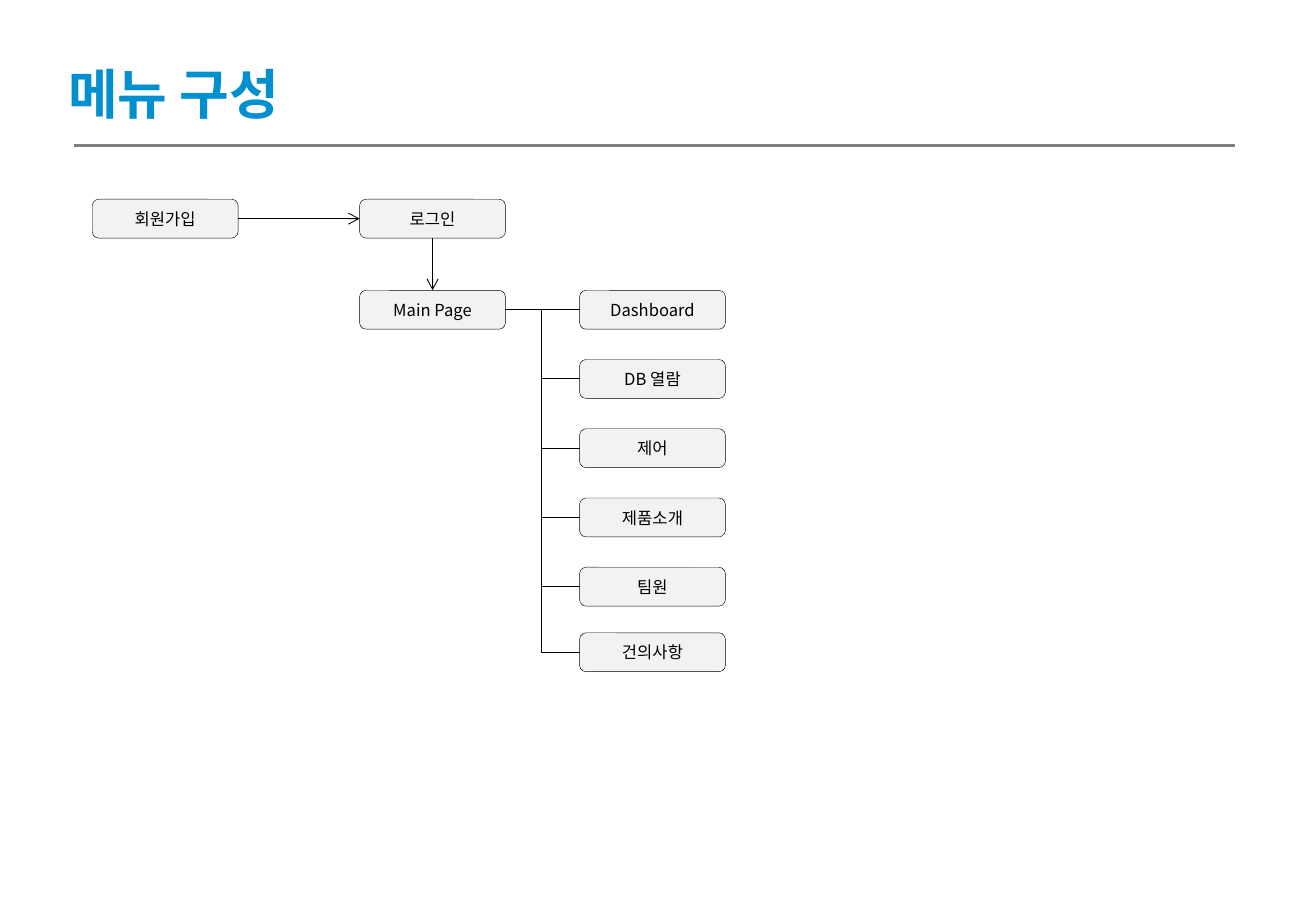
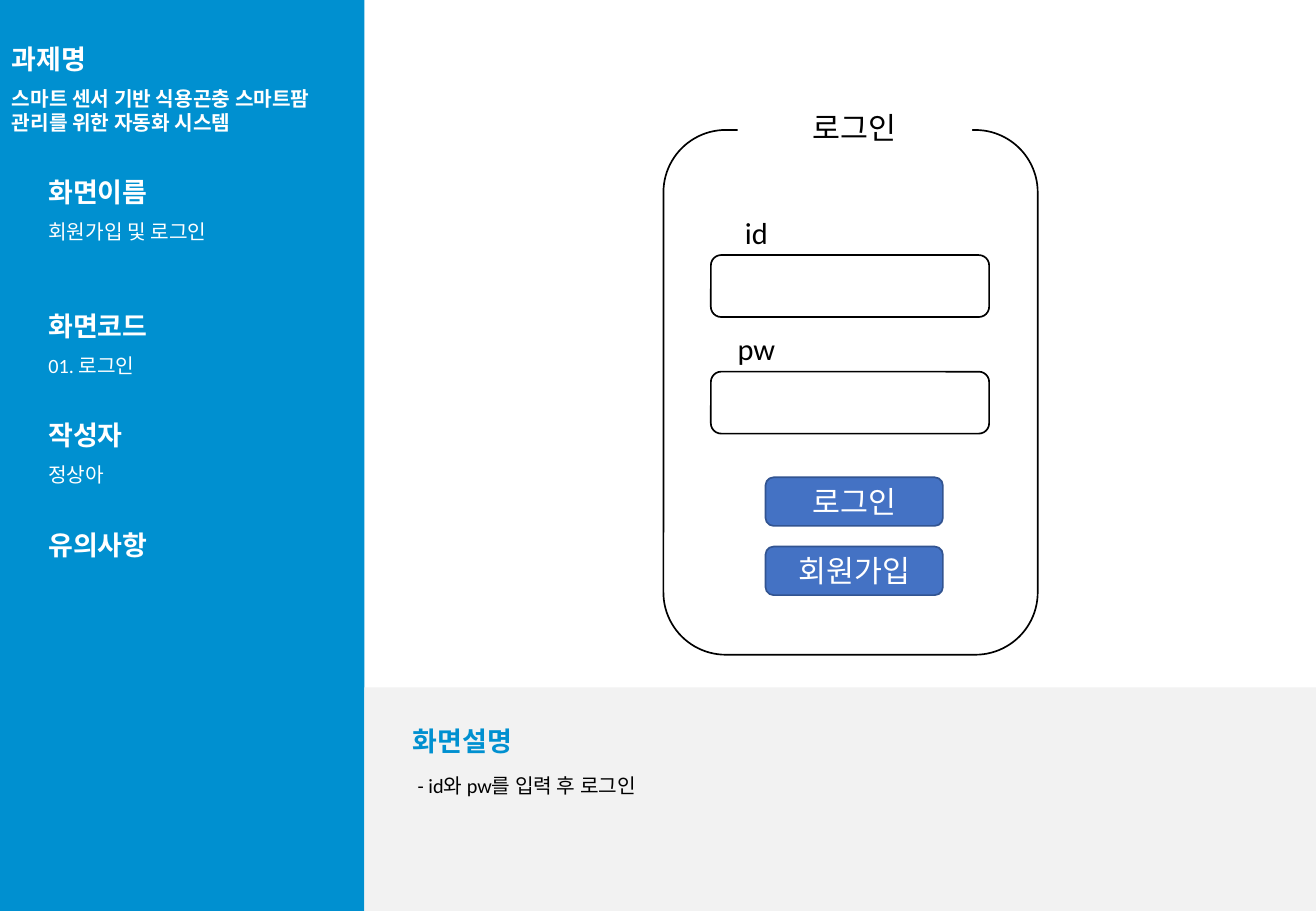
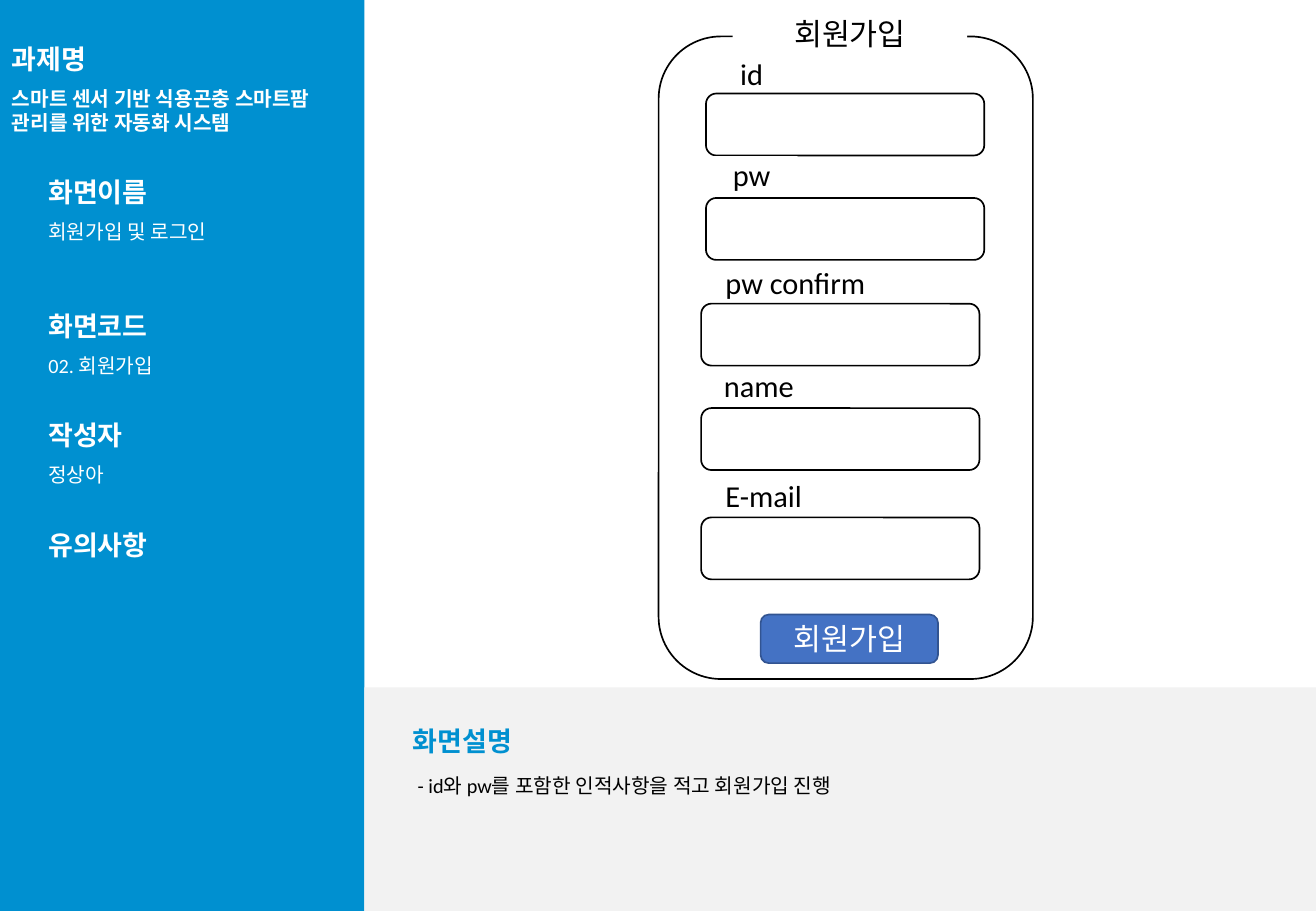
from dataclasses import dataclass
from typing import Optional

from lxml import etree
from pptx import Presentation
from pptx.dml.color import RGBColor
from pptx.enum import shapes, text
from pptx.oxml import ns
from pptx.util import Inches, Pt


@dataclass(frozen=True)
class Theme:
    blue: str = "0090D0"
    gray: str = "F2F2F2"
    rule: str = "808080"
    white: str = "FFFFFF"
    black: str = "000000"
    button: str = "4472C4"
    button_edge: str = "325491"
    latin: str = "Calibri"
    korean: str = "Noto Sans CJK KR"
    title: float = 32
    mockup: float = 18
    heading: float = 16
    body: float = 12
    node: float = 9.8


@dataclass(frozen=True)
class Box:
    left: float
    top: float
    width: float
    height: float


@dataclass(frozen=True)
class Style:
    size: float
    color: str
    bold: bool = False
    font: str = "Calibri"
    align: text.PP_ALIGN = text.PP_ALIGN.LEFT
    anchor: text.MSO_ANCHOR = text.MSO_ANCHOR.TOP


@dataclass(frozen=True)
class Field:
    label: str
    left: float
    label_top: float
    input_top: float
    label_width: float = 0.75


@dataclass(frozen=True)
class Button:
    label: str
    left: float
    top: float


@dataclass(frozen=True)
class Screen:
    name: str
    code: str
    description: str
    description_width: float
    name_box: Box
    panel: Box
    fields: tuple[Field, ...]
    buttons: tuple[Button, ...]


THEME = Theme()
CENTERED = {"align": text.PP_ALIGN.CENTER, "anchor": text.MSO_ANCHOR.MIDDLE}
TITLE = Style(THEME.title, THEME.blue, bold=True)
SIDE_HEADING = Style(THEME.heading, THEME.white, bold=True)
SIDE_BODY = Style(THEME.body, THEME.white)
PROJECT_NAME = Style(THEME.body, THEME.white, bold=True, font=THEME.korean)
NOTE_HEADING = Style(THEME.heading, THEME.blue, bold=True)
NOTE_BODY = Style(THEME.body, THEME.black)
NODE = Style(THEME.node, THEME.black, font=THEME.korean, **CENTERED)
MOCKUP = Style(THEME.mockup, THEME.black, **CENTERED)
BUTTON = Style(THEME.mockup, THEME.white, **CENTERED)

NODE_WIDTH, NODE_HEIGHT = 1.2, 0.32
MENU_LEFT, TRUNK_X = 4.77, 4.46
MENU = (
    ("Dashboard", 2.39),
    ("DB 열람", 2.96),
    ("제어", 3.53),
    ("제품소개", 4.1),
    ("팀원", 4.67),
    ("건의사항", 5.21),
)

SCREENS = (
    Screen(
        "로그인", "01. 로그인", " - id와 pw를 입력 후 로그인", 2.7,
        Box(6.07, 0.79, 1.93, 0.51), Box(5.46, 1.07, 3.08, 4.32),
        (Field("id", 5.85, 1.77, 2.1), Field("pw", 5.85, 2.72, 3.06)),
        (Button("로그인", 6.3, 3.93), Button("회원가입", 6.3, 4.5)),
    ),
    Screen(
        "회원가입", "02. 회원가입",
        " - id와 pw를 포함한 인적사항을 적고 회원가입 진행", 5.88,
        Box(6.03, 0.02, 1.93, 0.51), Box(5.42, 0.3, 3.08, 5.29),
        (
            Field("id", 5.81, 0.46, 0.77),
            Field("pw", 5.81, 1.29, 1.63),
            Field("pw confirm", 5.77, 2.18, 2.5, 1.55),
            Field("name", 5.77, 3.03, 3.36, 0.95),
            Field("E-mail", 5.77, 3.93, 4.26, 1.03),
        ),
        (Button("회원가입", 6.26, 5.06),),
    ),
)


def rgb(color: str) -> RGBColor:
    return RGBColor.from_string(color)


def lengths(box: Box) -> tuple:
    return tuple(Inches(v) for v in (box.left, box.top, box.width, box.height))


def write(shape, words: str, style: Style) -> None:
    frame = shape.text_frame
    frame.word_wrap = True
    frame.auto_size = text.MSO_AUTO_SIZE.NONE
    frame.vertical_anchor = style.anchor
    paragraph = frame.paragraphs[0]
    paragraph.alignment = style.align
    run = paragraph.add_run()
    run.text = words
    run.font.size = Pt(style.size)
    run.font.bold = style.bold
    run.font.name = style.font
    run.font.color.rgb = rgb(style.color)
    east_asian = etree.Element(ns.qn("a:ea"), typeface=THEME.korean)
    run.font._element.find(ns.qn("a:latin")).addnext(east_asian)


def add_text(slide, box: Box, words: str, style: Style) -> None:
    write(slide.shapes.add_textbox(*lengths(box)), words, style)


def add_block(slide, box: Box, fill: str, edge: Optional[str] = None,
              edge_width: float = 1, rounded: bool = False,
              words: str = "", style: Style = MOCKUP):
    preset = shapes.MSO_SHAPE.ROUNDED_RECTANGLE if rounded else shapes.MSO_SHAPE.RECTANGLE
    block = slide.shapes.add_shape(preset, *lengths(box))
    block.shadow.inherit = False
    block.fill.solid()
    block.fill.fore_color.rgb = rgb(fill)
    if edge:
        block.line.color.rgb = rgb(edge)
        block.line.width = Pt(edge_width)
    else:
        block.line.fill.background()
    if words:
        write(block, words, style)
    return block


def add_line(slide, start: tuple[float, float], end: tuple[float, float],
             color: str = THEME.black, width: float = 0.5):
    line = slide.shapes.add_connector(
        shapes.MSO_CONNECTOR.STRAIGHT, *(Inches(v) for v in (*start, *end)))
    line.line.color.rgb = rgb(color)
    line.line.width = Pt(width)
    etree.SubElement(line._element.spPr, ns.qn("a:effectLst"))
    return line


def join(slide, source, source_side: int, target, target_side: int,
         arrow: bool = False) -> None:
    link = add_line(slide, (0, 0), (1, 1))
    link.begin_connect(source, source_side)
    link.end_connect(target, target_side)
    if arrow:
        etree.SubElement(link.line._get_or_add_ln(), ns.qn("a:tailEnd"), type="arrow")


def add_branch(slide, start: tuple[float, float], end: tuple[float, float]) -> None:
    branch = add_line(slide, start, end)
    branch._element.spPr.find(ns.qn("a:prstGeom")).set("prst", "bentConnector2")


def place(slide, placeholder, box: Box, words: str, style: Style) -> None:
    placeholder.left, placeholder.top, placeholder.width, placeholder.height = lengths(box)
    write(placeholder, words, style)
    slide.shapes._spTree.append(placeholder._element)


def add_node(slide, left: float, top: float, words: str):
    return add_block(slide, Box(left, top, NODE_WIDTH, NODE_HEIGHT), THEME.gray,
                     THEME.black, 0.25, True, words, NODE)


def build_menu(deck) -> None:
    slide = deck.slides.add_slide(deck.slide_layouts[5])
    place(slide, slide.shapes.title, Box(0.46, 0.45, 2.1, 0.64), "메뉴 구성", TITLE)
    add_line(slide, (0.61, 1.2), (10.16, 1.2), THEME.rule, 1.5)

    sign_up = add_node(slide, 0.76, 1.64, "회원가입")
    log_in = add_node(slide, 2.96, 1.64, "로그인")
    main_page = add_node(slide, 2.96, MENU[0][1], "Main Page")
    dashboard, *_ = [add_node(slide, MENU_LEFT, top, name) for name, top in MENU]

    join(slide, sign_up, 3, log_in, 1, arrow=True)
    join(slide, log_in, 2, main_page, 0, arrow=True)
    join(slide, main_page, 3, dashboard, 1)
    trunk_top = MENU[0][1] + NODE_HEIGHT / 2
    for _, top in MENU[1:]:
        add_branch(slide, (MENU_LEFT, top + NODE_HEIGHT / 2), (TRUNK_X, trunk_top))


def add_sidebar(slide, code: str) -> None:
    add_block(slide, Box(0, 0, 3, 7.5), THEME.blue)
    add_text(slide, Box(0, 0.3, 1.07, 0.37), "과제명", SIDE_HEADING)
    add_text(slide, Box(0, 0.66, 2.91, 0.71),
             "스마트 센서 기반 식용곤충 스마트팜 관리를 위한 자동화 시스템", PROJECT_NAME)
    sections = (
        ("화면이름", "회원가입 및 로그인", 1.4),
        ("화면코드", code, 2.5),
        ("작성자", "정상아", 3.4),
        ("유의사항", "", 4.3),
    )
    for heading, detail, top in sections:
        add_text(slide, Box(0.3, top, 1.1, 0.37), heading, SIDE_HEADING)
        if detail:
            add_text(slide, Box(0.3, top + 0.36, 2.37, 0.3), detail, SIDE_BODY)


def add_description(slide, words: str, width: float) -> None:
    add_block(slide, Box(3, 5.66, 7.83, 1.84), THEME.gray)
    add_text(slide, Box(3.3, 5.92, 1.1, 0.37), "화면설명", NOTE_HEADING)
    body = slide.placeholders[1]
    place(slide, body, Box(3.3, 6.32, width, 0.3), words, NOTE_BODY)
    paragraph = body.text_frame.paragraphs[0]
    paragraph.space_before = Pt(0)
    properties = paragraph._p.get_or_add_pPr()
    properties.set("marL", "0")
    properties.set("indent", "0")
    etree.SubElement(properties, ns.qn("a:buNone"))


def add_field(slide, field: Field) -> None:
    add_block(slide, Box(field.left, field.input_top, 2.29, 0.51),
              THEME.white, THEME.black, rounded=True)
    add_block(slide, Box(field.left, field.label_top, field.label_width, 0.29),
              THEME.white, THEME.white, words=field.label)


def build_screen(deck, screen: Screen) -> None:
    slide = deck.slides.add_slide(deck.slide_layouts[1])
    add_sidebar(slide, screen.code)
    add_description(slide, screen.description, screen.description_width)
    add_block(slide, screen.panel, THEME.white, THEME.black, rounded=True)
    for field in screen.fields:
        add_field(slide, field)
    for button in screen.buttons:
        add_block(slide, Box(button.left, button.top, 1.46, 0.4), THEME.button,
                  THEME.button_edge, rounded=True, words=button.label, style=BUTTON)
    name = slide.shapes.title
    place(slide, name, screen.name_box, screen.name, MOCKUP)
    name.fill.solid()
    name.fill.fore_color.rgb = rgb(THEME.white)


def main() -> None:
    deck = Presentation()
    deck.slide_width, deck.slide_height = Inches(10.83), Inches(7.5)
    build_menu(deck)
    for screen in SCREENS:
        build_screen(deck, screen)
    deck.save("out.pptx")


if __name__ == "__main__":
    main()
